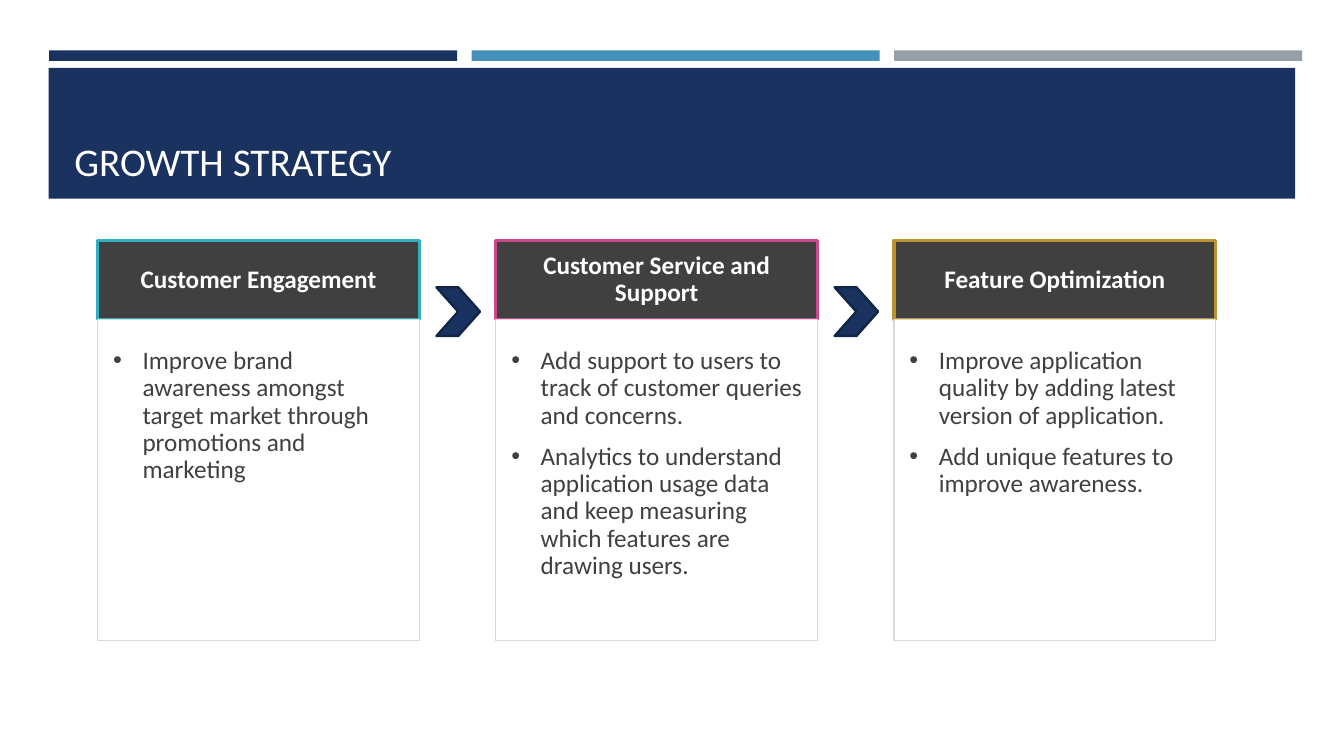
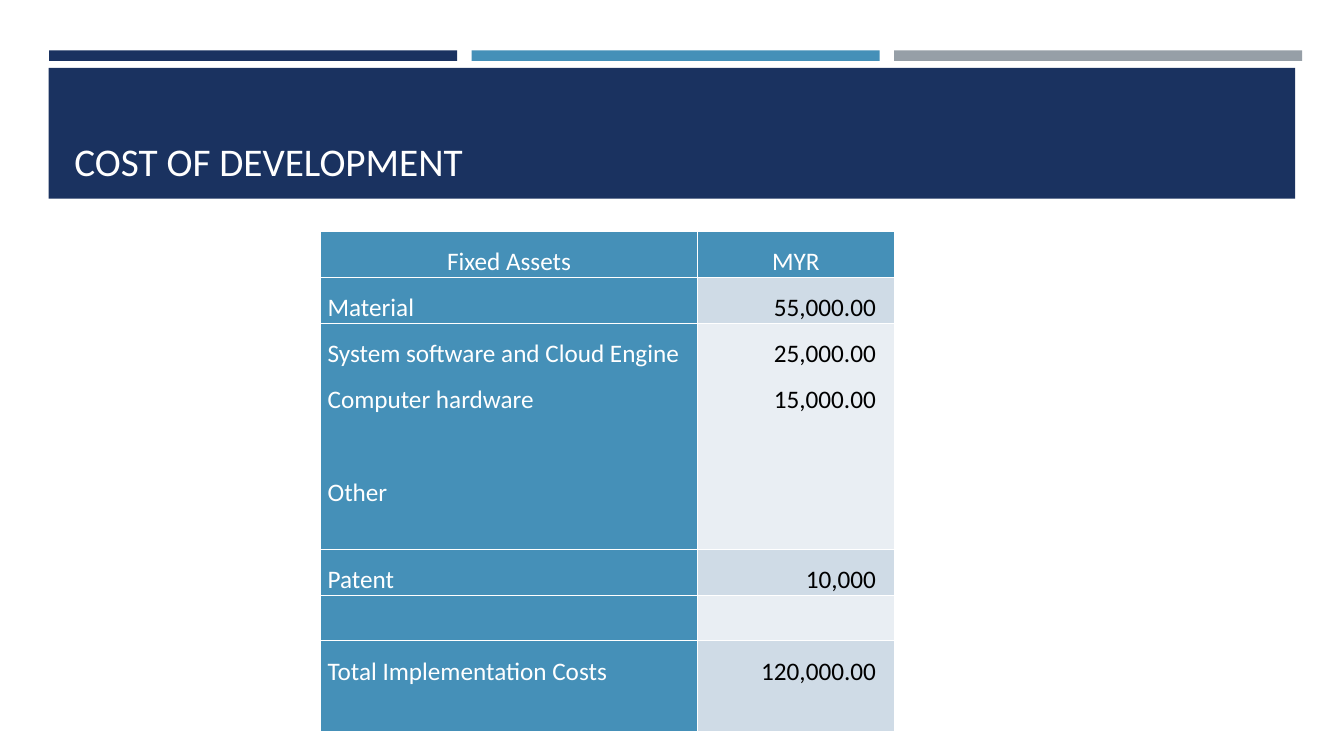
"""Build the growth strategy and development cost slides."""
from lxml import etree
from pptx import Presentation
from pptx.dml.color import RGBColor
from pptx.enum import shapes, text
from pptx.oxml import ns
from pptx.util import Pt

FONT = "Calibri"
NAVY, BLUE, GREY = "1A3260", "4590B8", "969FA7"
CHARCOAL, WHITE, BLACK = "404040", "FFFFFF", "000000"
PALE, PALER = "CFDBE6", "E9EEF3"
RECTANGLE, CHEVRON = shapes.MSO_SHAPE.RECTANGLE, shapes.MSO_SHAPE.CHEVRON
ALIGN, ANCHOR = text.PP_ALIGN, text.MSO_ANCHOR

STRATEGIES = [
    ("Customer Engagement", "31B0C1",
     ["Improve brand awareness amongst target market through promotions and marketing"]),
    ("Customer Service and Support", "CB488B",
     ["Add support to users to track of customer queries and concerns.",
      "Analytics to understand application usage data and keep measuring "
      "which features are drawing users."]),
    ("Feature Optimization", "BC9230",
     ["Improve application quality by adding latest version of application.",
      "Add unique features to improve awareness."]),
]
COSTS = [
    (32.4, ["Fixed Assets"], ["MYR"]),
    (32.4, ["Material"], ["55,000.00"]),
    (161.3, ["System software and Cloud Engine", "Computer hardware", "Other"],
     ["25,000.00", "15,000.00"]),
    (32.4, ["Patent"], ["10,000"]),
    (32.4, [], []),
    (64.8, ["Total Implementation Costs"], ["120,000.00"]),
]


def rgb(value):
    """Return the colour for a hex string."""
    return RGBColor.from_string(value)


def style(paragraph, color, size=18, bold=False, align=ALIGN.LEFT, spacing=1.0):
    """Set the font and layout of a paragraph."""
    paragraph.alignment = align
    paragraph.line_spacing = spacing
    font = paragraph.font
    font.name, font.size, font.bold = FONT, Pt(size), bold
    font.color.rgb = rgb(color)


def add_paragraphs(frame, lines):
    """Fill a text frame with lines and return its paragraphs."""
    frame.text = "\n".join(lines)
    return frame.paragraphs


def set_margins(holder, left, top, right, bottom):
    """Set the inner margins of a text frame or a cell."""
    holder.margin_left, holder.margin_top = Pt(left), Pt(top)
    holder.margin_right, holder.margin_bottom = Pt(right), Pt(bottom)


def add_block(slide, kind, box, fill, line=None, width=0.75):
    """Add a filled preset shape."""
    block = slide.shapes.add_shape(kind, *map(Pt, box))
    block.shadow.inherit = False
    block.fill.solid()
    block.fill.fore_color.rgb = rgb(fill)
    if line:
        block.line.color.rgb = rgb(line)
        block.line.width = Pt(width)
    else:
        block.line.fill.background()
    return block


def add_bullet(paragraph, color):
    """Give a paragraph a hanging round bullet."""
    properties = paragraph._p.get_or_add_pPr()
    properties.set("marL", str(Pt(21)))
    properties.set("indent", str(Pt(-21)))
    bullet_color = etree.SubElement(properties, ns.qn("a:buClr"))
    etree.SubElement(bullet_color, ns.qn("a:srgbClr"), val=color)
    etree.SubElement(properties, ns.qn("a:buFont"), typeface="Arial")
    etree.SubElement(properties, ns.qn("a:buChar"), char="•")


def decorate_layout(layout, slide):
    """Draw the shared bands and place them behind the layout's title."""
    bands = [((35 + 301.8 * index, 36, 291.6, 7.5), color)
             for index, color in enumerate((NAVY, BLUE, GREY))]
    bands.append(((34.8, 48.5, 890.4, 93.5), NAVY))
    for index, (box, color) in enumerate(bands):
        band = add_block(slide, RECTANGLE, box, color).element
        band.nvSpPr.cNvPr.id = 100 + index
        layout.shapes.element.insert(2 + index, band)


def set_title(slide, words):
    """Move, fill and format the title placeholder."""
    title = slide.shapes.title
    title.left, title.top, title.width, title.height = map(Pt, (46, 55.4, 868.4, 80))
    title.text_frame.vertical_anchor = ANCHOR.BOTTOM
    style(add_paragraphs(title.text_frame, [words])[0], WHITE, size=28)


def add_strategy(slide, left, heading, accent, points):
    """Add one strategy column: heading above a bulleted body."""
    header = add_block(slide, RECTANGLE, (left, 171.5, 229.8, 57), CHARCOAL, accent, 2.25)
    frame = header.text_frame
    frame.word_wrap, frame.vertical_anchor = True, ANCHOR.MIDDLE
    set_margins(frame, 9, 3, 9, 3)
    style(add_paragraphs(frame, [heading])[0], WHITE, bold=True,
          align=ALIGN.CENTER, spacing=0.9)

    body = add_block(slide, RECTANGLE, (left, 228.5, 229.8, 228.8), WHITE, "D9D9D9")
    frame = body.text_frame
    frame.word_wrap, frame.vertical_anchor = True, ANCHOR.TOP
    set_margins(frame, 11, 20, 11, 0)
    for index, paragraph in enumerate(add_paragraphs(frame, points)):
        add_bullet(paragraph, CHARCOAL)
        style(paragraph, CHARCOAL, spacing=0.9)
        if index:
            paragraph.space_before = Pt(10)


def set_borders(cell, color):
    """Give a cell a one-point border on each side."""
    properties = cell._tc.get_or_add_tcPr()
    for index, side in enumerate(("a:lnL", "a:lnR", "a:lnT", "a:lnB")):
        border = etree.Element(ns.qn(side), w=str(Pt(1)))
        fill = etree.SubElement(border, ns.qn("a:solidFill"))
        etree.SubElement(fill, ns.qn("a:srgbClr"), val=color)
        properties.insert(index, border)


def fill_cell(cell, lines, fill, color, align, right_margin=5):
    """Fill and format one cost cell."""
    cell.fill.solid()
    cell.fill.fore_color.rgb = rgb(fill)
    set_borders(cell, WHITE)
    set_margins(cell, 5, 0, right_margin, 0)
    for paragraph in add_paragraphs(cell.text_frame, lines):
        style(paragraph, color, align=align, spacing=1.5)
        if paragraph.text == "Other":
            paragraph.space_before = Pt(33)


def add_costs(slide):
    """Add the table of development costs."""
    height = sum(row[0] for row in COSTS)
    table = slide.shapes.add_table(
        len(COSTS), 2, *map(Pt, (229, 165, 409.7, height))).table
    table.first_row = table.horz_banding = False
    table.columns[0].width, table.columns[1].width = Pt(269.3), Pt(140.4)
    for index, (row_height, assets, amounts) in enumerate(COSTS):
        table.rows[index].height = Pt(row_height)
        asset, amount = table.cell(index, 0), table.cell(index, 1)
        if index == 0:
            for cell, lines in ((asset, assets), (amount, amounts)):
                fill_cell(cell, lines, BLUE, WHITE, ALIGN.CENTER)
                cell.vertical_anchor = ANCHOR.MIDDLE
        else:
            fill_cell(asset, assets, BLUE, WHITE, ALIGN.LEFT)
            fill_cell(amount, amounts, PALE if index % 2 else PALER,
                      BLACK, ALIGN.RIGHT, right_margin=13)


def main():
    """Build and save the presentation."""
    deck = Presentation()
    deck.slide_width, deck.slide_height = Pt(960), Pt(540)
    layout = deck.slide_layouts[5]

    growth = deck.slides.add_slide(layout)
    decorate_layout(layout, growth)
    set_title(growth, "GROWTH STRATEGY")
    step = 284.4
    for index, strategy in enumerate(STRATEGIES):
        add_strategy(growth, 69.8 + step * index, *strategy)
    for index in range(len(STRATEGIES) - 1):
        add_block(growth, CHEVRON, (311.8 + step * index, 205.2, 31, 34.8),
                  NAVY, "132547", 1.75)

    costs = deck.slides.add_slide(layout)
    set_title(costs, "COST OF DEVELOPMENT")
    add_costs(costs)
    deck.save("out.pptx")


if __name__ == "__main__":
    main()
